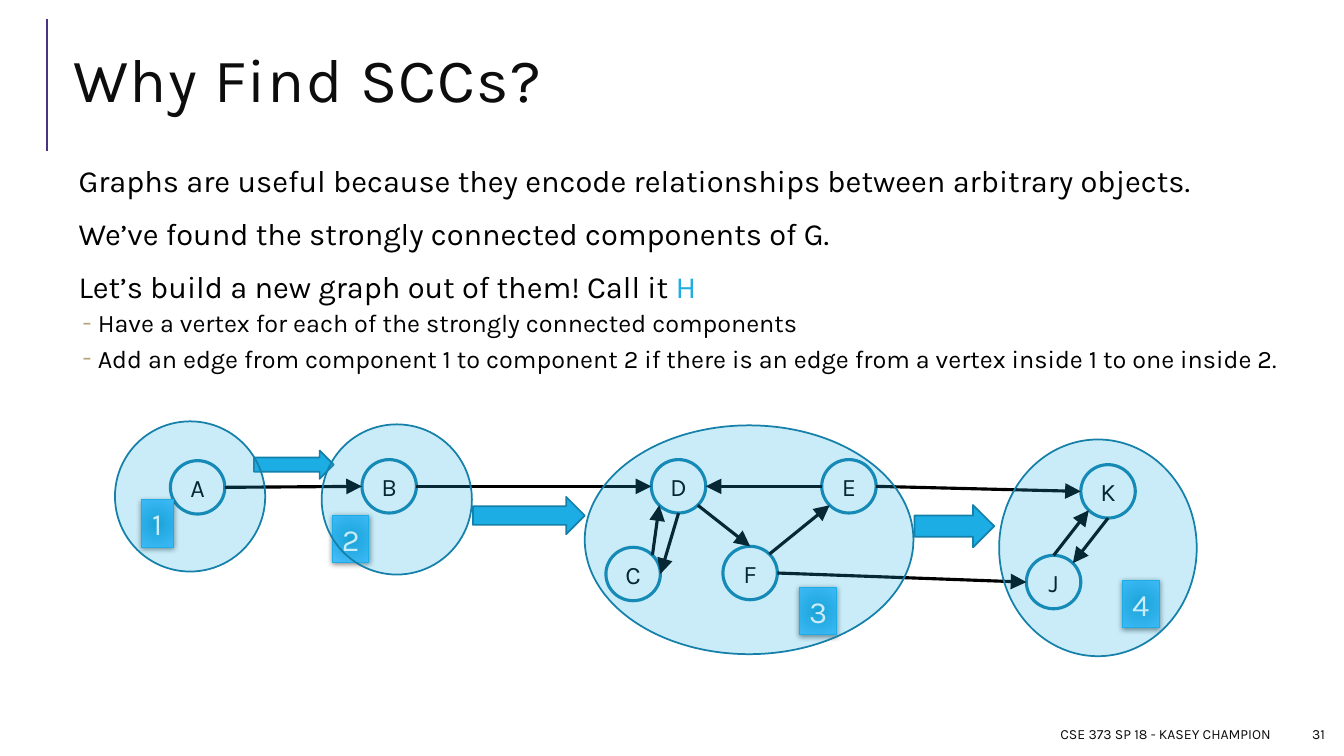
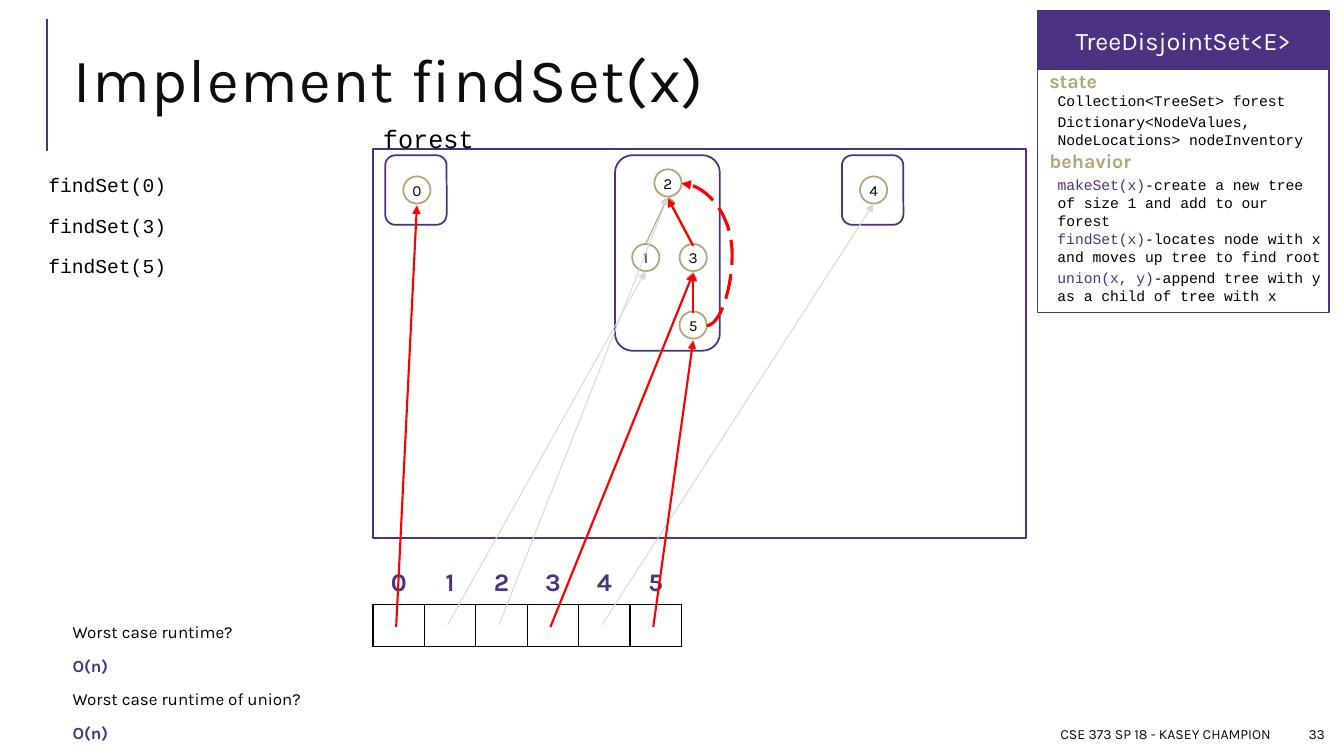
from math import cos, pi, sin

from lxml.etree import SubElement
from pptx import Presentation
from pptx.dml.color import RGBColor
from pptx.enum.dml import MSO_LINE_DASH_STYLE as Dash
from pptx.enum.shapes import MSO_CONNECTOR as Link, MSO_SHAPE as Kind
from pptx.enum.text import MSO_ANCHOR as Anchor, PP_ALIGN as Align
from pptx.oxml.ns import qn
from pptx.util import Inches, Pt

# Shared style
SANS, MONO = "Karla", "Courier New"
BLACK, INK, WHITE = "000000", "0D0D0D", "FFFFFF"
PURPLE, GOLD, BLUE, TEAL = "4C3282", "B6A479", "1CADE4", "1580A9"
GREY, RED = "D9D9D9", "FF0000"
FOOTER = "CSE 373 SP 18 - KASEY CHAMPION"
TOP, LEFT, LOWLEFT, BOTTOM, LOWRIGHT, RIGHT, UPRIGHT = 0, 2, 3, 4, 5, 6, 7


def rgb(code):
    return RGBColor.from_string(code)


def text(frame, runs, size=18, color=BLACK, font=SANS, bold=False,
         align=Align.LEFT, line=None, before=0, after=0, left=0, hang=0,
         mark=None, space=0):
    """Add one paragraph; runs is a string or a list of (words, color)."""
    first = not frame.paragraphs[0].runs
    para = frame.paragraphs[0] if first else frame.add_paragraph()
    para.alignment = align
    para.space_before = Pt(0 if first else before)
    para.space_after = Pt(after)
    if line:
        para.line_spacing = line
    props = para._p.get_or_add_pPr()
    props.set("marL", str(Inches(left)))
    props.set("indent", str(-Inches(hang)))
    if mark:
        tint = SubElement(props, qn("a:buClr"))
        SubElement(tint, qn("a:srgbClr"), val=GOLD)
        SubElement(props, qn("a:buFont"), typeface=font)
        SubElement(props, qn("a:buChar"), char=mark)
    for words, tone in [(runs, color)] if isinstance(runs, str) else runs:
        run = para.add_run()
        run.text = words
        run.font.name, run.font.size, run.font.bold = font, Pt(size), bold
        run.font.color.rgb = rgb(tone)
        if space:
            run.font._element.set("spc", str(space))


def site(shape, spot):
    """Point on an ellipse: spots run counter-clockwise from the top."""
    turn = pi / 2 + spot * pi / 4
    return (int(shape.left + shape.width / 2 * (1 + cos(turn))),
            int(shape.top + shape.height / 2 * (1 - sin(turn))))


class Deck:
    def __init__(self):
        self.prs = Presentation()
        self.prs.slide_width, self.prs.slide_height = Inches(13.33), Inches(7.5)
        self.slide = None

    def page(self, title, number):
        self.slide = self.prs.slides.add_slide(self.prs.slide_layouts[6])
        self.line((0.47, 1.5), (0.47, 0.19), PURPLE, 1.5, head=None)
        text(self.box(0.63, 0.29, 12.23, 1.11, anchor=Anchor.MIDDLE), title,
             size=44, color=INK, line=0.8, space=100)
        for x, w, words in ((6.25, 6.45, FOOTER), (12.78, 0.46, str(number))):
            text(self.box(x, 7.13, w, 0.3, anchor=Anchor.MIDDLE), words,
                 size=10, color=INK, align=Align.RIGHT)

    def box(self, x, y, w, h, inset=0.1, anchor=Anchor.TOP, wrap=True):
        area = self.slide.shapes.add_textbox(
            Inches(x), Inches(y), Inches(w), Inches(h))
        frame = area.text_frame
        frame.word_wrap, frame.vertical_anchor = wrap, anchor
        frame.margin_left = frame.margin_right = Inches(inset)
        return frame

    def shape(self, kind, x, y, w, h, edge, width=1.25, fill=None, alpha=None,
              label=None, size=18, color=BLACK):
        item = self.slide.shapes.add_shape(
            kind, Inches(x), Inches(y), Inches(w), Inches(h))
        item.shadow.inherit = False
        item.line.color.rgb, item.line.width = rgb(edge), Pt(width)
        if fill:
            item.fill.solid()
            item.fill.fore_color.rgb = rgb(fill)
        else:
            item.fill.background()
        if alpha:
            tint = item.element.spPr.find(qn("a:solidFill"))[0]
            SubElement(tint, qn("a:alpha"), val=str(alpha * 1000))
        if label:
            frame = item.text_frame
            frame.margin_left = frame.margin_right = 0
            frame.margin_top = frame.margin_bottom = 0
            frame.word_wrap, frame.vertical_anchor = False, Anchor.MIDDLE
            text(frame, label, size=size, color=color, align=Align.CENTER)
        return item

    def tag(self, x, y, w, label):
        """Glowing number label with a soft shadow."""
        item = self.shape(Kind.RECTANGLE, x, y, w, 0.47, BLUE, 0.75,
                          label=label, size=22, color=WHITE)
        item.fill.gradient()
        for stop, tone in zip(item.fill.gradient_stops, ("1AA1D4", "48BFFF")):
            stop.color.rgb = rgb(tone)
        props = item.element.spPr
        grad = props.find(qn("a:gradFill"))
        grad.remove(grad.find(qn("a:lin")))
        ring = SubElement(grad, qn("a:path"), {"path": "circle"})
        SubElement(ring, qn("a:fillToRect"), dict.fromkeys("ltrb", "100000"))
        shade = SubElement(
            props.find(qn("a:effectLst")), qn("a:outerShdw"),
            blurRad=str(Pt(4)), dist=str(Pt(1)), dir="5400000")
        tint = SubElement(shade, qn("a:srgbClr"), val=BLACK)
        SubElement(tint, qn("a:alpha"), val="50000")

    def line(self, start, end, color, width, head="med", kind=Link.STRAIGHT,
             dash=None):
        cord = self.slide.shapes.add_connector(
            kind, *(Inches(n) for n in (*start, *end)))
        cord.line.color.rgb, cord.line.width = rgb(color), Pt(width)
        if dash:
            cord.line.dash_style = dash
        props = cord.element.spPr
        if head:
            SubElement(props.find(qn("a:ln")), qn("a:tailEnd"),
                       type="triangle", w=head, len=head)
        SubElement(props, qn("a:effectLst"))
        return cord

    def join(self, start, end, color, width, head="med", shift=(0, 0)):
        """Arrow between (ellipse, spot) pairs or plain points, in inches."""
        ends = []
        for part in (start, end):
            spot = part
            if not isinstance(part[0], (int, float)):
                spot = [n / Inches(1) for n in site(*part)]
            ends.append((spot[0] + shift[0], spot[1] + shift[1]))
        cord = self.line(*ends, color, width, head)
        if any(shift):
            return
        glue = cord.element.find(".//" + qn("p:cNvCxnSpPr"))
        for name, part in (("a:stCxn", start), ("a:endCxn", end)):
            if not isinstance(part[0], (int, float)):
                SubElement(glue, qn(name), id=str(part[0].shape_id),
                           idx=str(part[1]))

    def curve(self, start, end, bend, color, width):
        cord = self.line(start, end, color, width, kind=Link.CURVE,
                         dash=Dash.LONG_DASH)
        geom = cord.element.spPr.find(qn("a:prstGeom"))
        SubElement(geom.find(qn("a:avLst")), qn("a:gd"), name="adj1",
                   fmla=f"val {bend}")

    def array(self, x, y, labels, side, tall):
        """Index row above a row of empty cells."""
        grid = self.slide.shapes.add_table(
            2, len(labels), Inches(x), Inches(y),
            Inches(side * len(labels)), Inches(tall * 2)).table
        grid.first_row = grid.horz_banding = False
        for col, label in enumerate(labels):
            text(grid.cell(0, col).text_frame, label, color=PURPLE, bold=True,
                 align=Align.CENTER)
            for row in range(2):
                cell = grid.cell(row, col)
                props = cell._tc.get_or_add_tcPr()
                for edge in "LRTB":
                    tone = BLACK if row or edge == "B" else WHITE
                    rule = SubElement(props, qn("a:ln" + edge), w=str(Pt(1)))
                    paint = SubElement(rule, qn("a:solidFill"))
                    SubElement(paint, qn("a:srgbClr"), val=tone)
                cell.fill.background()


def components(deck):
    deck.page("Why Find SCCs?", 31)

    # Body text
    body = deck.box(0.63, 1.6, 12.23, 2.33, inset=0.05)
    for runs in (
            "Graphs are useful because they encode relationships between "
            "arbitrary objects.",
            "We’ve found the strongly connected components of G.",
            [("Let’s build a new graph out of them! Call it ", BLACK),
             ("H", BLUE)]):
        text(body, runs, size=22, line=0.9, before=12, after=2, left=0.1)
    for words in (
            "Have a vertex for each of the strongly connected components",
            "Add an edge from component 1 to component 2 if there is an edge "
            "from a vertex inside 1 to one inside 2."):
        text(body, words, line=0.9, before=2, after=4, left=0.29, hang=0.15,
             mark="-")

    # Vertices and edges of G
    spots = {"A": (1.69, 4.57), "B": (3.59, 4.56), "C": (6.01, 5.43),
             "D": (6.46, 4.56), "E": (8.15, 4.56), "F": (7.17, 5.42),
             "J": (10.18, 5.51), "K": (10.72, 4.61)}
    node = {name: deck.shape(Kind.OVAL, *spot, 0.54, 0.53, TEAL, 2.25, WHITE,
                             label=name) for name, spot in spots.items()}
    for a, out, b, into in (
            ("A", RIGHT, "B", LEFT), ("B", RIGHT, "D", LEFT),
            ("C", UPRIGHT, "D", LOWLEFT), ("D", BOTTOM, "C", RIGHT),
            ("D", LOWRIGHT, "F", TOP), ("F", UPRIGHT, "E", LOWLEFT),
            ("E", LEFT, "D", RIGHT), ("E", RIGHT, "K", LEFT),
            ("F", RIGHT, "J", LEFT), ("K", BOTTOM, "J", UPRIGHT),
            ("J", TOP, "K", LOWLEFT)):
        deck.join((node[a], out), (node[b], into), BLACK, 2.25, head="lg")

    # Edges, labels and vertices of H
    for spot in ((2.52, 4.47, 0.79, 0.28), (4.69, 4.93, 1.11, 0.37),
                 (9.07, 5.01, 0.79, 0.42)):
        deck.shape(Kind.RIGHT_ARROW, *spot, TEAL, fill=BLUE)
    for x, y, w, label in ((1.4, 4.96, 0.32, "1"), (3.3, 5.11, 0.36, "2"),
                           (7.93, 5.83, 0.37, "3"), (11.13, 5.76, 0.37, "4")):
        deck.tag(x, y, w, label)
    for spot in ((1.14, 4.18, 1.49, 1.49), (3.19, 4.21, 1.49, 1.49),
                 (5.8, 4.22, 3.26, 2.27), (9.91, 4.36, 1.96, 2.15)):
        deck.shape(Kind.OVAL, *spot, TEAL, fill=BLUE, alpha=23)


def find(deck):
    deck.page("Implement findSet(x)", 33)

    # Calls
    calls = deck.box(0.33, 1.69, 2.27, 3.5, inset=0.05)
    for n in (0, 3, 5):
        text(calls, f"findSet({n})", size=14, font=MONO, line=0.9, before=12,
             after=2, left=0.1)

    # Forest
    deck.shape(Kind.RECTANGLE, 3.7, 1.48, 6.48, 3.86, PURPLE)
    text(deck.box(3.7, 1.17, 1.11, 0.4, wrap=False), "forest", font=MONO)
    for x, w, h in ((3.82, 0.61, 0.69), (6.1, 1.04, 1.94), (8.35, 0.61, 0.69)):
        deck.shape(Kind.ROUNDED_RECTANGLE, x, 1.54, w, h, PURPLE)
    spots = ((4, 1.75), (6.27, 2.42), (6.49, 1.68), (6.74, 2.42),
             (8.53, 1.75), (6.74, 3.09))
    node = [deck.shape(Kind.OVAL, *spot, 0.27, 0.27, GOLD, fill=WHITE,
                       label=str(n), size=11) for n, spot in enumerate(spots)]

    # Inventory array, tree edges, and the visited paths in red
    side = 0.51
    deck.array(3.7, 5.59, [str(n) for n in range(len(node))], side, 0.41)
    edges = {(a, b): ((node[a], TOP), (node[b], BOTTOM))
             for a, b in ((5, 3), (1, 2), (3, 2))}
    refs = [((3.7 + side * (n + 0.45), 6.2), (item, BOTTOM))
            for n, item in enumerate(node)]
    for ends in edges.values():
        deck.join(*ends, GOLD, 0.75)
    for ends in refs:
        deck.join(*ends, GREY, 0.75)
    for ends in (refs[0], refs[3], refs[5], edges[3, 2], edges[5, 3]):
        deck.join(*ends, RED, 1.5, shift=(0, 0.02))
    deck.curve((7.01, 3.23), (6.76, 1.82), -100800, RED, 2.25)

    # Class panel
    deck.shape(Kind.RECTANGLE, 10.29, 0.69, 2.89, 2.41, PURPLE)
    deck.shape(Kind.RECTANGLE, 10.29, 0.11, 2.89, 0.58, PURPLE, fill=PURPLE,
               label="TreeDisjointSet<E>", color=WHITE)
    for y, head in ((0.63, "state"), (1.43, "behavior")):
        text(deck.box(10.31, y, 2.23, 0.34), head, size=14, color=GOLD,
             bold=True)
    for y, w, h, name, note in (
            (0.86, 2.75, 0.28, "", "Collection<TreeSet> forest"),
            (1.07, 2.75, 0.45, "",
             "Dictionary<NodeValues, NodeLocations> nodeInventory"),
            (1.7, 2.75, 0.63, "makeSet(x)",
             "-create a new tree of size 1 and add to our forest"),
            (2.23, 2.9, 0.47, "findSet(x)",
             "-locates node with x and moves up tree to find root"),
            (2.62, 2.9, 0.47, "union(x, y)",
             "-append tree with y as a child of tree with x")):
        runs = [(name, PURPLE), (note, BLACK)] if name else note
        text(deck.box(10.39, y, w, h), runs, size=10.5, font=MONO)

    # Runtime questions
    asks = deck.box(0.57, 6.17, 12.23, 1.32, inset=0.05)
    for ask in ("Worst case runtime?", "Worst case runtime of union?"):
        for words, tone, bold in ((ask, BLACK, False), ("O(n)", PURPLE, True)):
            text(asks, words, size=12.1, color=tone, bold=bold, line=0.7,
                 before=12, after=2, left=0.1)


def main():
    deck = Deck()
    components(deck)
    find(deck)
    deck.prs.save("out.pptx")


if __name__ == "__main__":
    main()
